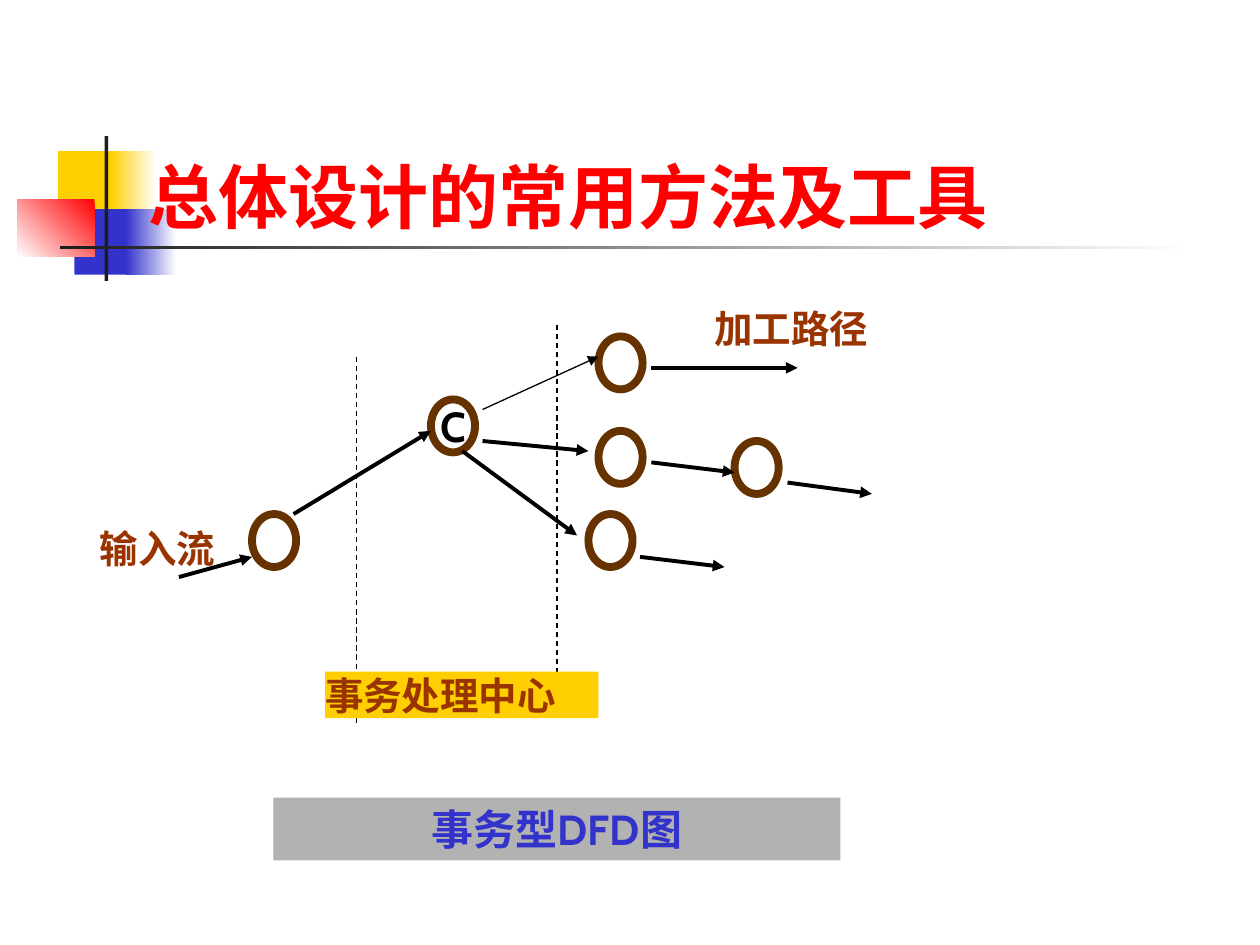
from lxml.etree import SubElement
from pptx import Presentation
from pptx.dml.color import RGBColor
from pptx.enum.dml import MSO_LINE
from pptx.enum.shapes import MSO_CONNECTOR, MSO_SHAPE
from pptx.enum.text import MSO_ANCHOR, MSO_AUTO_SIZE, PP_ALIGN
from pptx.oxml.ns import qn
from pptx.util import Inches, Pt

YELLOW, BLUE, RED, WHITE = "FFCF01", "3333CC", "FF0000", "FFFFFF"
CHARCOAL, BLACK, GRAY = "1C1C1C", "000000", "B2B2B2"
BROWN, RUST = "663300", "993300"
PADDED = (0.1, 0.05)
LABEL = {"size": Pt(22), "name": "Cabin", "bold": True}
CAPTION = {"size": Pt(24), "name": "Cabin", "bold": True}
HEADING = {"size": Pt(40), "name": "Times New Roman", "bold": True}


def rgb(value):
    return RGBColor.from_string(value)


def inches(values):
    return [Inches(value) for value in values]


def apply(target, values):
    for name, value in values.items():
        setattr(target, name, value)


class DiagramSlide:
    def __init__(self, slide):
        self.slide = slide
        self.shapes = slide.shapes
        self.node_size = (0.35, 0.42)

    def set_text(self, holder, text, color, font, align=PP_ALIGN.LEFT,
                 inset=(0, 0), anchor=MSO_ANCHOR.TOP, wrap=True):
        frame = holder.text_frame
        side, end = inches(inset)
        apply(frame, {
            "word_wrap": wrap, "auto_size": MSO_AUTO_SIZE.NONE,
            "vertical_anchor": anchor,
            "margin_left": side, "margin_right": side,
            "margin_top": end, "margin_bottom": end,
        })
        paragraph = frame.paragraphs[0]
        paragraph.text = text
        paragraph.alignment = align
        apply(paragraph.font, font)
        paragraph.font.color.rgb = rgb(color)

    def title(self, text, box):
        heading = self.shapes.title
        apply(heading, dict(zip(("left", "top", "width", "height"), inches(box))))
        self.set_text(heading, text, RED, HEADING, inset=PADDED)
        heading.element.getparent().append(heading.element)

    def block(self, box, color):
        block = self.shapes.add_shape(MSO_SHAPE.RECTANGLE, *inches(box))
        block.shadow.inherit = False
        block.line.fill.background()
        block.fill.solid()
        block.fill.fore_color.rgb = rgb(color)
        return block

    def fade(self, box, start, end, angle):
        fade = self.block(box, start)
        fade.fill.gradient()
        fade.fill.gradient_angle = angle
        for stop, color in zip(fade.fill.gradient_stops, (start, end)):
            stop.color.rgb = rgb(color)

    def node(self, left, top, text=None):
        node = self.shapes.add_shape(
            MSO_SHAPE.OVAL, *inches((left, top) + self.node_size))
        node.shadow.inherit = False
        node.fill.background()
        node.line.width = Pt(4.5)
        node.line.color.rgb = rgb(BROWN)
        if text:
            self.set_text(node, text, BLACK, CAPTION, PP_ALIGN.CENTER,
                          PADDED, MSO_ANCHOR.MIDDLE, wrap=False)

    def line(self, start, end, width):
        line = self.shapes.add_connector(
            MSO_CONNECTOR.STRAIGHT, *inches(start + end))
        line.line.width = Pt(width)
        line.line.color.rgb = rgb(BLACK)
        SubElement(line.element.spPr, qn("a:effectLst"))
        return line

    def arrow(self, start, end, width=2.25):
        arrow = self.line(start, end, width)
        outline = arrow.element.spPr.find(qn("a:ln"))
        SubElement(outline, qn("a:tailEnd"), type="triangle")

    def boundary(self, start, end):
        self.line(start, end, 0.75).line.dash_style = MSO_LINE.DASH

    def label(self, text, box, align=PP_ALIGN.LEFT):
        label = self.shapes.add_textbox(*inches(box))
        self.set_text(label, text, RUST, LABEL, align)


def main():
    deck = Presentation()
    deck.slide_width, deck.slide_height = inches((10, 7.5))
    diagram = DiagramSlide(deck.slides.add_slide(deck.slide_layouts[5]))

    diagram.block((0.46, 1.2, 0.48, 0.52), YELLOW)
    diagram.fade((0.88, 1.2, 0.36, 0.52), WHITE, YELLOW, 180)
    diagram.block((0.59, 1.66, 0.46, 0.52), BLUE)
    diagram.fade((1, 1.66, 0.4, 0.52), WHITE, BLUE, 180)
    diagram.fade((0.14, 1.58, 0.61, 0.46), RED, WHITE, 225)
    diagram.block((0.83, 1.08, 0.03, 1.15), CHARCOAL)
    diagram.fade((0.48, 1.95, 9, 0.03), WHITE, CHARCOAL, 180)
    diagram.title("总体设计的常用方法及工具", (1.08, 1.17, 8.5, 0.77))

    for left, top in ((2, 4.08), (4.75, 2.67), (4.75, 3.42),
                      (4.67, 4.08), (5.83, 3.5)):
        diagram.node(left, top)
    diagram.node(3.42, 3.17, "C")

    for start, end in (
        ((1.42, 4.58), (2, 4.42)),
        ((2.33, 4.08), (3.42, 3.42)),
        ((3.83, 3.5), (4.67, 3.58)),
        ((3.67, 3.58), (4.58, 4.25)),
        ((5.17, 2.92), (6.33, 2.92)),
        ((5.17, 3.67), (5.83, 3.75)),
        ((5.08, 4.42), (5.75, 4.5)),
        ((6.25, 3.83), (6.92, 3.92)),
    ):
        diagram.arrow(start, end)
    diagram.arrow((3.83, 3.25), (4.75, 2.83), 0.75)

    diagram.boundary((2.83, 2.83), (2.83, 5.75))
    diagram.boundary((4.42, 2.58), (4.42, 5.58))

    diagram.label("加工路径", (5.67, 2.42, 1.67, 0.37))
    diagram.label("输入流", (0.75, 4.17, 1, 0.37), PP_ALIGN.CENTER)
    center = diagram.block((2.58, 5.33, 2.17, 0.37), YELLOW)
    diagram.set_text(center, "事务处理中心", RUST, LABEL)
    caption = diagram.block((2.17, 6.33, 4.5, 0.5), GRAY)
    diagram.set_text(caption, "事务型DFD图", BLUE, CAPTION, PP_ALIGN.CENTER, PADDED)

    deck.save("out.pptx")


if __name__ == "__main__":
    main()
